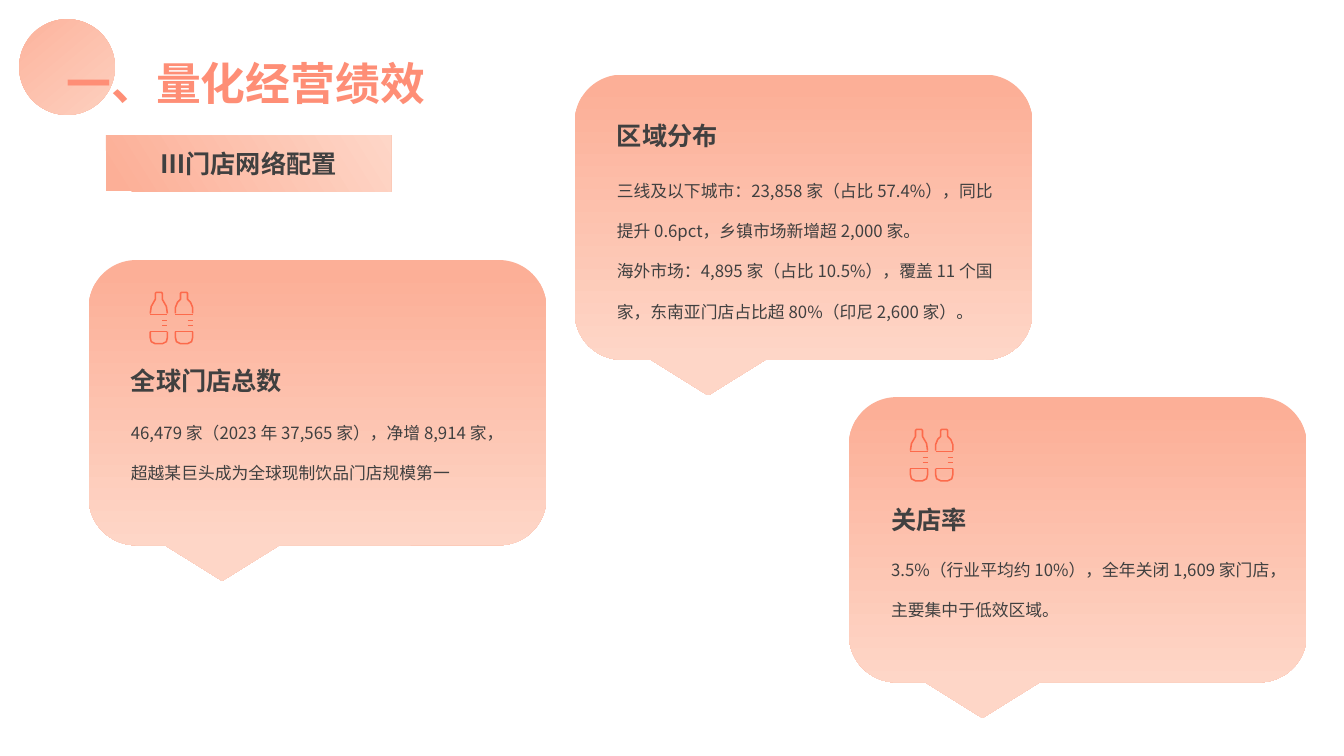
from pptx import Presentation
from pptx.dml.color import RGBColor
from pptx.enum import shapes, text
from pptx.oxml import ns
from pptx.util import Inches, Pt
from lxml import etree

FONT = "Noto Sans CJK SC"
TITLE_COLOUR, ICON_COLOUR, TEXT_COLOUR = "FE8E76", "FC6A4B", "404040"
GRADIENT = [(0.04, "FCAF97"), (1, "FED6C7")]

# Bottle outlines, in hundredths of an inch
BOTTLE_PITCH = 25
POINTED_NECK = [(1, 22), (2, 15), (6, 8), (6, 2), (7, 1), (12, 1), (13, 2), (13, 8), (17, 15), (18, 22)]
ROUND_NECK = [(1, 22), (1, 16), (3, 11), (6, 8), (6, 2), (7, 1), (12, 1),
              (13, 2), (13, 8), (16, 11), (18, 16), (18, 22)]
BOTTLE_PARTS = [
    [(1, 40), (1, 46), (2, 50), (6, 52), (13, 52), (17, 50), (18, 46), (18, 40)],
    [(1, 23), (18, 23)],
    [(1, 40), (18, 40)],
    [(13, 29), (18, 29)],
    [(13, 34), (18, 34)],
]

# Left, top, heading offset, body offset, has icon, heading, paragraphs
CARDS = [
    (0.88, 2.58, 1.0, 1.36, True, "全球门店总数",
     ["46,479 家（2023 年 37,565 家），净增 8,914 家，超越某巨头成为全球现制饮品门店规模第一"]),
    (5.7, 0.74, 0.4, 0.8, False, "区域分布",
     ["三线及以下城市：23,858 家（占比 57.4%），同比提升 0.6pct，乡镇市场新增超 2,000 家。",
      "海外市场：4,895 家（占比 10.5%），覆盖 11 个国家，东南亚门店占比超 80%（印尼 2,600 家）。"]),
    (8.42, 3.94, 1.01, 1.36, True, "关店率",
     ["3.5%（行业平均约 10%），全年关闭 1,609 家门店，主要集中于低效区域。"]),
]


def colour(value):
    return RGBColor.from_string(value)


def set_all(target, values):
    for name, value in values.items():
        setattr(target, name, value)


class Slide:
    """Holds the page and draws its elements in one style."""

    def __init__(self, page):
        self.page = page

    def fill_text(self, box, lines, size, ink=TEXT_COLOUR, bold=False, spacing=1.0,
                  align=text.PP_ALIGN.LEFT, anchor=text.MSO_ANCHOR.TOP):
        frame = box.text_frame
        set_all(frame, {"word_wrap": True, "auto_size": text.MSO_AUTO_SIZE.NONE,
                        "vertical_anchor": anchor})
        for index, line in enumerate(lines):
            para = frame.add_paragraph() if index else frame.paragraphs[0]
            set_all(para, {"alignment": align, "line_spacing": spacing,
                           "space_before": Pt(0), "space_after": Pt(0)})
            span = para.add_run()
            span.text = line
            set_all(span.font, {"size": Pt(size), "bold": bold, "name": FONT})
            span.font.color.rgb = colour(ink)
            east_asian = etree.SubElement(span.font._element, ns.qn("a:ea"))
            east_asian.set("typeface", FONT)

    def title(self, line, left, top, width, height):
        box = self.page.shapes.title
        set_all(box, {"left": Inches(left), "top": Inches(top),
                      "width": Inches(width), "height": Inches(height)})
        self.fill_text(box, [line], 32, TITLE_COLOUR, bold=True)

    def label(self, lines, left, top, width, height, size, **style):
        box = self.page.shapes.add_textbox(*map(Inches, (left, top, width, height)))
        self.fill_text(box, lines, size, **style)

    def gradient_shape(self, kind, left, top, width, height, angle=270):
        shape = self.page.shapes.add_shape(kind, *map(Inches, (left, top, width, height)))
        shape.shadow.inherit = False
        shape.line.fill.background()
        shape.fill.gradient()
        shape.fill.gradient_angle = angle
        for stop, (position, value) in zip(shape.fill.gradient_stops, GRADIENT):
            stop.position = position
            stop.color.rgb = colour(value)
        return shape

    def bottles(self, left, top):
        contours = [[(x + number * BOTTLE_PITCH, y) for x, y in part]
                    for number, neck in enumerate((POINTED_NECK, ROUND_NECK))
                    for part in [neck] + BOTTLE_PARTS]
        builder = self.page.shapes.build_freeform(*contours[0][0], scale=Inches(0.01))
        for contour in contours:
            builder.move_to(*contour[0])
            builder.add_line_segments(contour[1:], close=False)
        icon = builder.convert_to_shape(Inches(left), Inches(top))
        icon.shadow.inherit = False
        icon.fill.background()
        icon.line.color.rgb = colour(ICON_COLOUR)
        icon.line.width = Pt(1.1)

    def card(self, left, top, heading_offset, body_offset, has_icon, heading, lines):
        self.gradient_shape(shapes.MSO_SHAPE.ROUNDED_RECTANGULAR_CALLOUT, left, top, 4.54, 2.83)
        if has_icon:
            self.bottles(left + 0.6, top + 0.31)
        text_left = left + 0.32
        self.label([heading], text_left, top + heading_offset, 2.42, 0.4, 18, bold=True)
        self.label(lines, text_left, top + body_offset, 4, 0.1 + 0.81 * len(lines), 12, spacing=2.0)


def main():
    deck = Presentation()
    deck.slide_width, deck.slide_height = Inches(13.33), Inches(7.5)
    slide = Slide(deck.slides.add_slide(deck.slide_layouts[5]))

    slide.title("一、量化经营绩效", 0.56, 0.5, 4.19, 0.64)
    circle = slide.gradient_shape(shapes.MSO_SHAPE.OVAL, 0.19, 0.19, 0.95, 0.95)
    circle.rotation = 320
    slide.page.shapes.title.element.addprevious(circle.element)

    for card in CARDS:
        slide.card(*card)

    banner = slide.gradient_shape(shapes.MSO_SHAPE.RECTANGLE, 1.05, 1.34, 2.83, 0.56, angle=32)
    slide.fill_text(banner, ["Ⅲ门店网络配置"], 18, bold=True,
                    align=text.PP_ALIGN.CENTER, anchor=text.MSO_ANCHOR.MIDDLE)
    deck.save("out.pptx")


if __name__ == "__main__":
    main()
